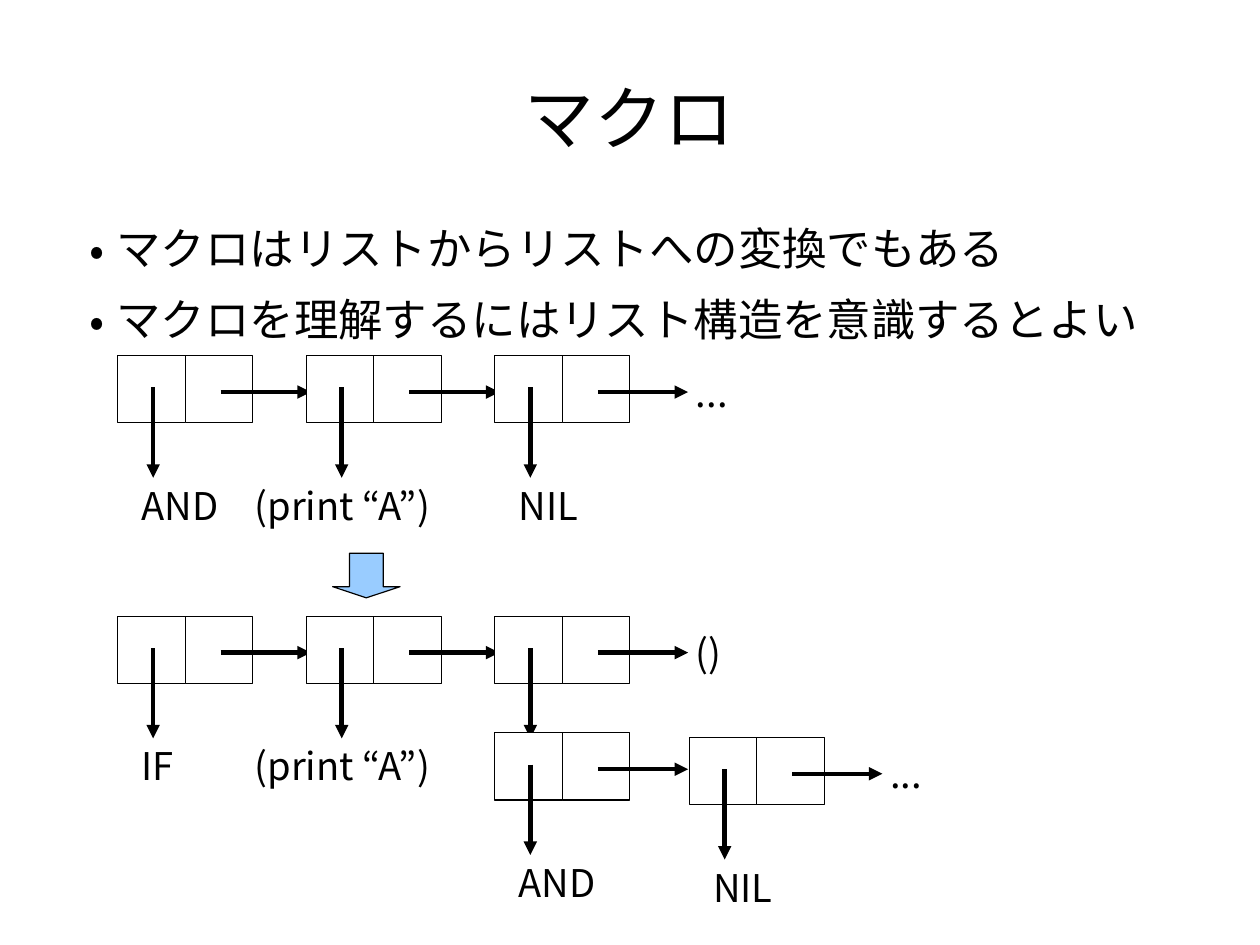
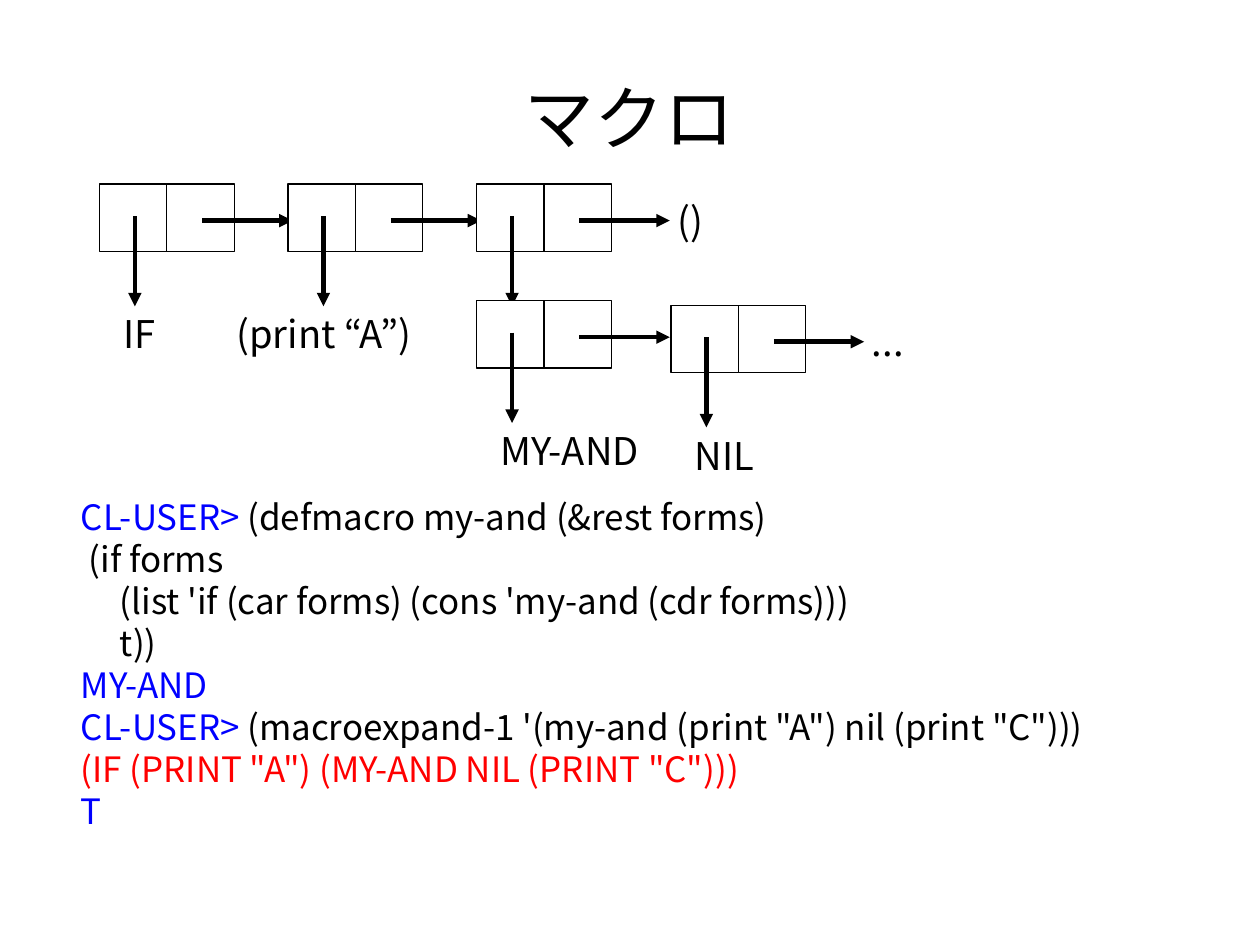
from dataclasses import dataclass

from lxml import etree
from pptx import Presentation
from pptx.dml.color import RGBColor as Color
from pptx.enum.shapes import MSO_CONNECTOR as Connector, MSO_SHAPE as Preset
from pptx.enum.text import MSO_ANCHOR as Anchor, MSO_AUTO_SIZE as AutoSize, PP_ALIGN as Align
from pptx.oxml.ns import qn
from pptx.util import Inches, Pt


@dataclass(frozen=True)
class Theme:
    font: str = "Noto Sans CJK JP"
    ink: Color = Color(0x00, 0x00, 0x00)
    paper: Color = Color(0xFF, 0xFF, 0xFF)
    output: Color = Color(0x00, 0x00, 0xFF)
    printed: Color = Color(0xFF, 0x00, 0x00)
    change: Color = Color(0x99, 0xCC, 0xFF)
    title_size: int = 44
    body_size: int = 28
    label_size: int = 24
    code_size: int = 22
    hairline: float = 0
    arrow_line: float = 2.83


THEME = Theme()

# The page is 28 by 21 centimetres
CM_PER_INCH = 2.54
PAGE_WIDTH = Inches(28 / CM_PER_INCH)
PAGE_HEIGHT = Inches(21 / CM_PER_INCH)

# Cons cell geometry, in inches
BOX = 0.59
PITCH = 1.65
ARROW = 0.79
LABEL_HEIGHT = 0.55
LABEL_WIDTHS = {"AND": 0.93, "IF": 0.53, "(print “A”)": 2.03, "NIL": 0.78,
                "...": 0.7, "()": 0.53, "MY-AND": 1.55}
LABEL_SHIFTS = {"(print “A”)": -0.55}
DEFAULT_SHIFT = 0.11

CODE = [
    [("CL-USER>", THEME.output), (" (defmacro my-and (&rest forms)", THEME.ink)],
    [(" (if forms", THEME.ink)],
    [("     (list 'if (car forms) (cons 'my-and (cdr forms)))", THEME.ink)],
    [("     t))", THEME.ink)],
    [("MY-AND", THEME.output)],
    [("CL-USER>", THEME.output),
     (" (macroexpand-1 '(my-and (print \"A\") nil (print \"C\")))", THEME.ink)],
    [("(IF (PRINT \"A\") (MY-AND NIL (PRINT \"C\")))", THEME.printed)],
    [("T", THEME.output)],
]


# Basic elements
def set_values(target, values):
    for name, value in values.items():
        setattr(target, name, value)


def add_run(paragraph, text, size, color):
    run = paragraph.add_run()
    run.text = text
    set_values(run.font, {"name": THEME.font, "size": Pt(size)})
    run.font.color.rgb = color
    east_asian = etree.SubElement(run.font._element, qn("a:ea"))
    east_asian.set("typeface", THEME.font)


def add_text(slide, area, lines, size, margins=(0.1, 0.05), **frame_values):
    """Add a text box; each line is a list of (text, color) runs."""
    frame = slide.shapes.add_textbox(*map(Inches, area)).text_frame
    side, edge = map(Inches, margins)
    set_values(frame, {"margin_left": side, "margin_right": side,
                       "margin_top": edge, "margin_bottom": edge,
                       "word_wrap": True, **frame_values})
    for index, line in enumerate(lines):
        paragraph = frame.add_paragraph() if index else frame.paragraphs[0]
        for text, color in line:
            add_run(paragraph, text, size, color)
    return frame


def add_title(slide, text):
    frame = add_text(slide, (0.55, 0.38, 9.92, 1.28), [[(text, THEME.ink)]],
                     THEME.title_size, (0, 0), vertical_anchor=Anchor.MIDDLE)
    frame.paragraphs[0].alignment = Align.CENTER


def add_bullets(slide, texts):
    frame = add_text(slide, (0.55, 1.93, 9.92, 5.46),
                     [[(text, THEME.ink)] for text in texts],
                     THEME.body_size, (0, 0))
    for paragraph in frame.paragraphs:
        properties = paragraph._p.get_or_add_pPr()
        properties.set("marL", str(Inches(0.47)))
        properties.set("indent", str(Inches(-0.24)))
        etree.SubElement(properties, qn("a:buFont")).set("typeface", THEME.font)
        etree.SubElement(properties, qn("a:buChar")).set("char", "•")
        paragraph.space_after = Pt(11.3)


def add_label(slide, left, top, text):
    add_text(slide, (left, top, LABEL_WIDTHS[text], LABEL_HEIGHT),
             [[(text, THEME.ink)]], THEME.label_size,
             word_wrap=False, auto_size=AutoSize.SHAPE_TO_FIT_TEXT)


def add_block(slide, preset, area, fill):
    shape = slide.shapes.add_shape(preset, *map(Inches, area))
    shape.shadow.inherit = False
    shape.fill.solid()
    shape.fill.fore_color.rgb = fill
    shape.line.color.rgb = THEME.ink
    shape.line.width = Pt(THEME.hairline)
    return shape


def add_arrow(slide, left, top, across=0, down=0):
    ends = map(Inches, (left, top, left + across, top + down))
    connector = slide.shapes.add_connector(Connector.STRAIGHT, *ends)
    connector.line.color.rgb = THEME.ink
    connector.line.width = Pt(THEME.arrow_line)
    properties = connector.element.spPr
    etree.SubElement(properties.find(qn("a:ln")), qn("a:tailEnd")).set("type", "triangle")
    etree.SubElement(properties, qn("a:effectLst"))


# List diagrams
def add_cell(slide, left, top, label=None, rest=None):
    """Add a cons cell with its two pointers, and what they point to."""
    for column in range(2):
        add_block(slide, Preset.RECTANGLE, (left + column * BOX, top, BOX, BOX), THEME.paper)
    add_arrow(slide, left + 0.31, top + 0.28, down=ARROW)
    add_arrow(slide, left + 0.9, top + 0.32, across=ARROW)
    if label:
        add_label(slide, left + LABEL_SHIFTS.get(label, DEFAULT_SHIFT), top + 1.06, label)
    if rest:
        add_label(slide, left + 1.66, top + 0.07, rest)


def add_list(slide, left, top, labels, rest):
    last = len(labels) - 1
    for index, label in enumerate(labels):
        add_cell(slide, left + index * PITCH, top, label, rest if index == last else None)


def add_expansion(slide, left, top, operator):
    """Add the IF list whose third element is a list of its own."""
    add_list(slide, left, top, ["IF", "(print “A”)", None], "()")
    branch = left + 2 * PITCH
    add_cell(slide, branch + 1.7, top + 1.06, "NIL", "...")
    add_cell(slide, branch, top + 1.02, operator)


# Slides
def add_slide(presentation, title):
    slide = presentation.slides.add_slide(presentation.slide_layouts[6])
    add_title(slide, title)
    return slide


def build_list_slide(presentation):
    slide = add_slide(presentation, "マクロ")
    add_bullets(slide, ["マクロはリストからリストへの変換でもある",
                        "マクロを理解するにはリスト構造を意識するとよい"])
    add_list(slide, 1.03, 3.11, ["AND", "(print “A”)", "NIL"], "...")
    add_expansion(slide, 1.03, 5.39, "AND")
    arrow = add_block(slide, Preset.DOWN_ARROW, (2.91, 4.84, 0.59, 0.39), THEME.change)
    arrow.adjustments[0] = 0.5
    arrow.adjustments[1] = 0.25


def build_code_slide(presentation):
    slide = add_slide(presentation, "マクロ")
    add_text(slide, (0.61, 4.29, 9.9, 3.43), CODE, THEME.code_size)
    add_expansion(slide, 0.87, 1.61, "MY-AND")


def main():
    presentation = Presentation()
    presentation.slide_width = PAGE_WIDTH
    presentation.slide_height = PAGE_HEIGHT
    build_list_slide(presentation)
    build_code_slide(presentation)
    presentation.save("out.pptx")


if __name__ == "__main__":
    main()
